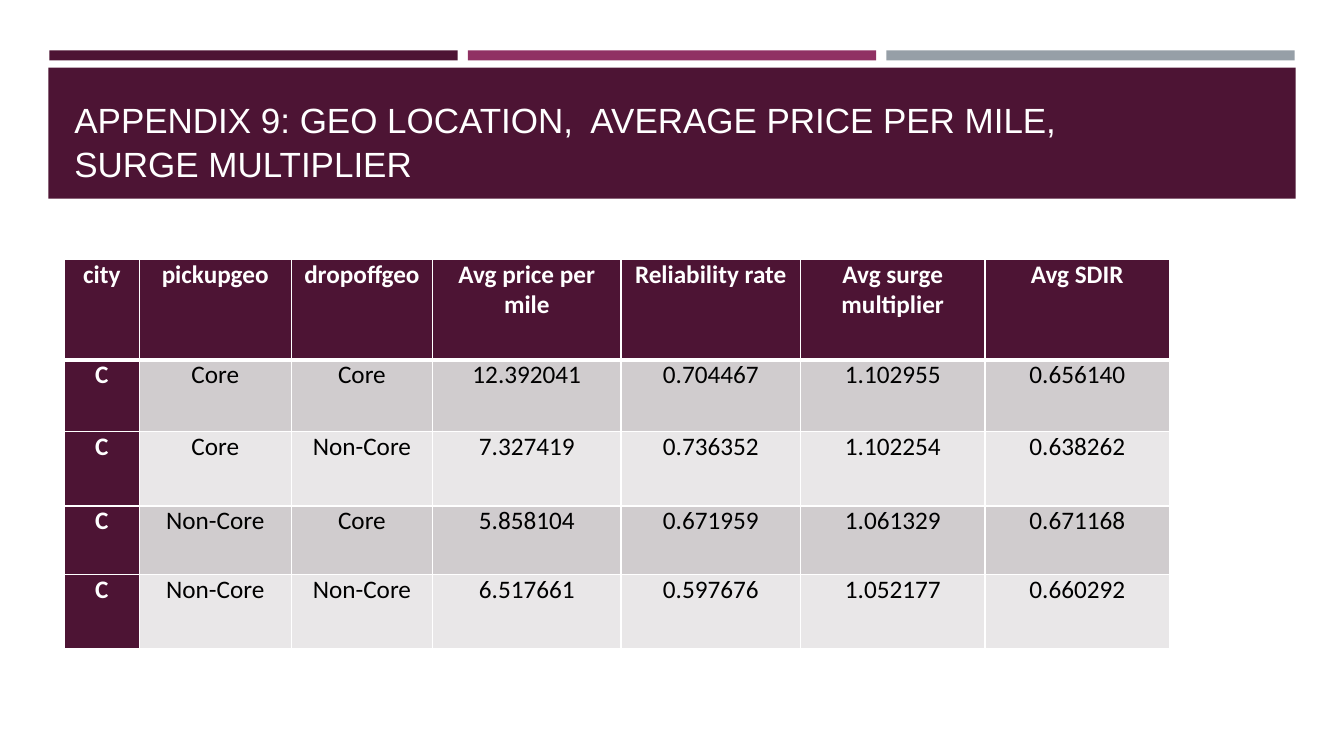
from dataclasses import dataclass

from lxml import etree
from pptx import Presentation
from pptx.dml.color import RGBColor
from pptx.enum.shapes import MSO_SHAPE
from pptx.enum.text import MSO_ANCHOR, PP_ALIGN
from pptx.oxml.ns import qn
from pptx.util import Inches, Pt

RECTANGLE = MSO_SHAPE.RECTANGLE
BOTTOM = MSO_ANCHOR.BOTTOM
TOP = MSO_ANCHOR.TOP
CENTER = PP_ALIGN.CENTER


@dataclass(frozen=True)
class Theme:
    plum: str = "4D1434"
    magenta: str = "903163"
    gray: str = "969FA7"
    dark_band: str = "D0CCCE"
    light_band: str = "E9E7E8"
    white: str = "FFFFFF"
    black: str = "000000"
    title_font: str = "Arial"
    table_font: str = "Calibri"
    title_size: int = 25
    table_size: int = 18
    thin_border: int = 1
    thick_border: int = 3


THEME = Theme()

TITLE_LINES = ["APPENDIX 9: GEO LOCATION,  AVERAGE PRICE PER MILE, ", "SURGE MULTIPLIER"]
COLUMN_WIDTHS = [0.74, 1.51, 1.4, 1.87, 1.78, 1.83, 1.83]
ROW_HEIGHTS = [1, 0.71, 0.74, 0.68, 0.73]
TABLE_ROWS = [
    ["city", "pickupgeo", "dropoffgeo", "Avg price per mile", "Reliability rate",
     "Avg surge multiplier", "Avg SDIR"],
    ["C", "Core", "Core", "12.392041", "0.704467", "1.102955", "0.656140"],
    ["C", "Core", "Non-Core", "7.327419", "0.736352", "1.102254", "0.638262"],
    ["C", "Non-Core", "Core", "5.858104", "0.671959", "1.061329", "0.671168"],
    ["C", "Non-Core", "Non-Core", "6.517661", "0.597676", "1.052177", "0.660292"],
]


def add_bar(slide, left, top, width, height, color):
    shape = slide.shapes.add_shape(
        RECTANGLE, Inches(left), Inches(top), Inches(width), Inches(height))
    shape.shadow.inherit = False
    shape.fill.solid()
    shape.fill.fore_color.rgb = RGBColor.from_string(color)
    shape.line.fill.background()


def add_run(paragraph, text, font_name, size, color, bold=False):
    run = paragraph.add_run()
    run.text = text
    run.font.name = font_name
    run.font.size = Pt(size)
    run.font.bold = bold
    run.font.color.rgb = RGBColor.from_string(color)


def add_title(slide, lines):
    text_box = slide.shapes.add_textbox(
        Inches(0.64), Inches(0.77), Inches(12.06), Inches(1.11))
    text_frame = text_box.text_frame
    text_frame.word_wrap = True
    text_frame.vertical_anchor = BOTTOM
    paragraph = text_frame.paragraphs[0]
    paragraph.line_spacing = 1.04
    for index, line in enumerate(lines):
        if index:
            paragraph.add_line_break()
        add_run(paragraph, line, THEME.title_font, THEME.title_size, THEME.white)


def set_borders(cell, widths):
    properties = cell._tc.get_or_add_tcPr()
    for side, width in widths.items():
        line = etree.SubElement(properties, qn(f"a:ln{side}"), w=str(Pt(width)))
        fill = etree.SubElement(line, qn("a:solidFill"))
        etree.SubElement(fill, qn("a:srgbClr"), val=THEME.white)


def fill_cell(cell, text, row, column):
    is_heading = row == 0 or column == 0
    band = THEME.dark_band if row % 2 else THEME.light_band
    thin, thick = THEME.thin_border, THEME.thick_border
    set_borders(cell, {
        "L": thin,
        "R": thin,
        "T": thick if row == 1 else thin,
        "B": thick if row == 0 else thin,
    })
    cell.fill.solid()
    cell.fill.fore_color.rgb = RGBColor.from_string(THEME.plum if is_heading else band)
    cell.margin_left = cell.margin_right = Inches(0.07)
    cell.margin_top = cell.margin_bottom = Inches(0)
    cell.vertical_anchor = TOP
    paragraph = cell.text_frame.paragraphs[0]
    paragraph.alignment = CENTER
    add_run(paragraph, text, THEME.table_font, THEME.table_size,
            THEME.white if is_heading else THEME.black, is_heading)


def add_price_table(slide):
    table = slide.shapes.add_table(
        len(ROW_HEIGHTS), len(COLUMN_WIDTHS), Inches(0.64), Inches(2.57),
        Inches(sum(COLUMN_WIDTHS)), Inches(sum(ROW_HEIGHTS))).table
    table.first_col = True
    for column, width in zip(table.columns, COLUMN_WIDTHS):
        column.width = Inches(width)
    for row, height in zip(table.rows, ROW_HEIGHTS):
        row.height = Inches(height)
    for row, texts in enumerate(TABLE_ROWS):
        for column, text in enumerate(texts):
            fill_cell(table.cell(row, column), text, row, column)


def main():
    presentation = Presentation()
    presentation.slide_width = Inches(13.33)
    presentation.slide_height = Inches(7.5)
    slide = presentation.slides.add_slide(presentation.slide_layouts[6])
    for index, color in enumerate([THEME.plum, THEME.magenta, THEME.gray]):
        add_bar(slide, 0.49 + 4.15 * index, 0.5, 4.05, 0.1, color)
    add_bar(slide, 0.48, 0.67, 12.37, 1.3, THEME.plum)
    add_title(slide, TITLE_LINES)
    add_price_table(slide)
    presentation.save("out.pptx")


if __name__ == "__main__":
    main()
